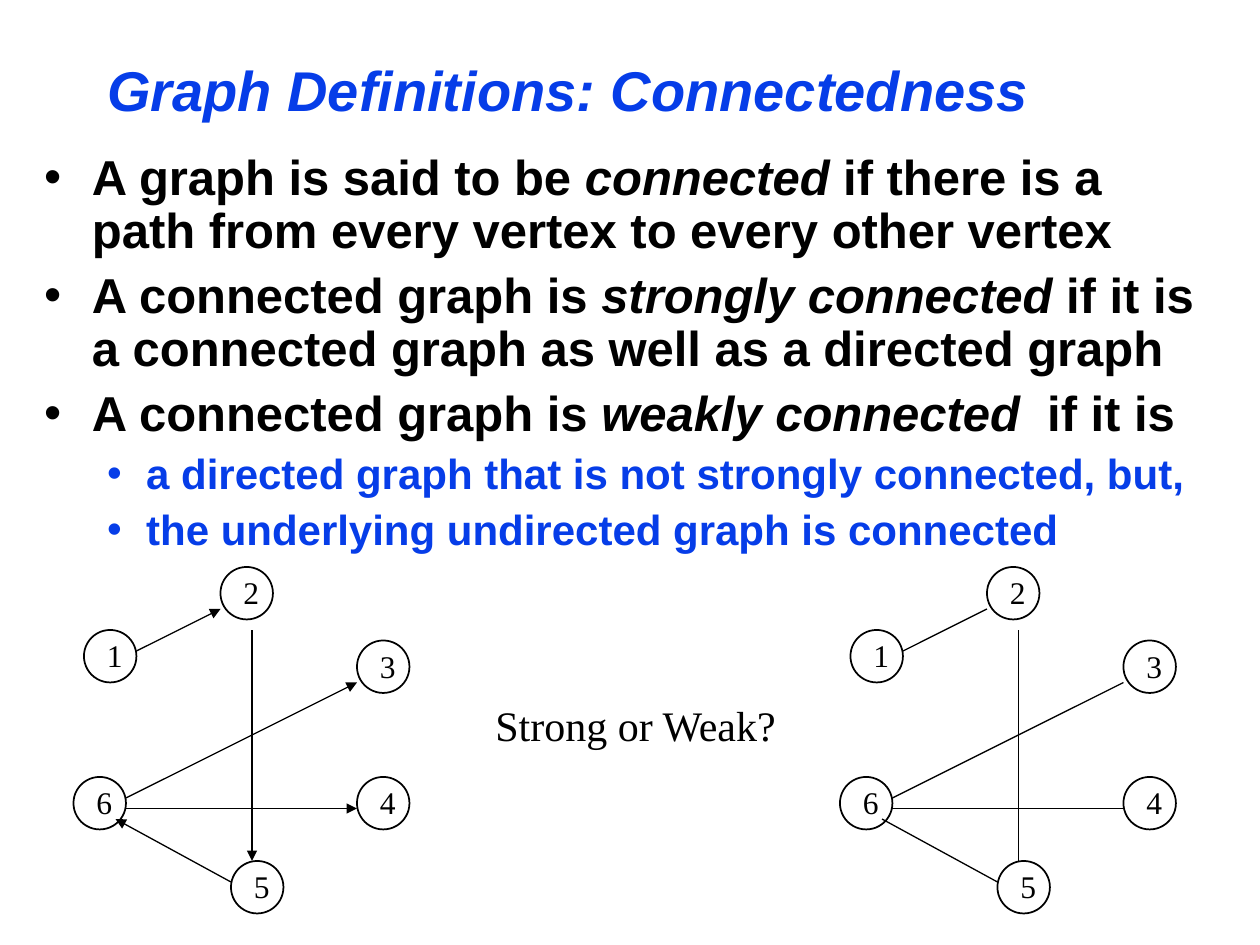
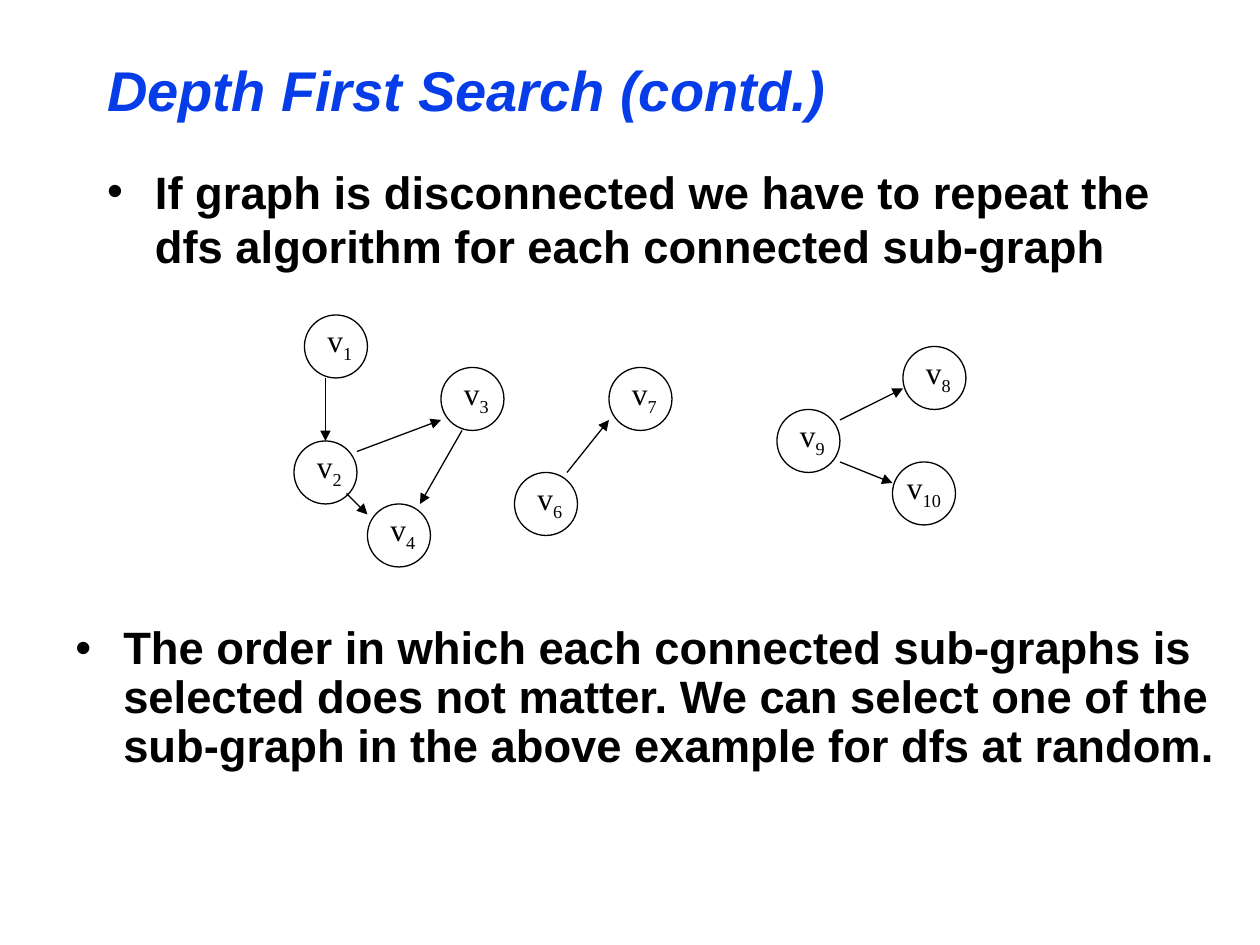
from dataclasses import dataclass
from typing import NamedTuple

from lxml import etree
from pptx import Presentation
from pptx.dml.color import RGBColor
from pptx.enum.shapes import MSO_CONNECTOR, MSO_SHAPE
from pptx.enum.text import MSO_ANCHOR, MSO_AUTO_SIZE, PP_ALIGN
from pptx.oxml.ns import qn
from pptx.util import Inches, Pt

OVAL = MSO_SHAPE.OVAL
STRAIGHT = MSO_CONNECTOR.STRAIGHT
LEFT = PP_ALIGN.LEFT
TOP, MIDDLE = MSO_ANCHOR.TOP, MSO_ANCHOR.MIDDLE
NO_FIT = MSO_AUTO_SIZE.NONE

WIDTH, HEIGHT = Inches(10), Inches(7.5)
COLUMNS, ROWS = 120, 90
CELL_WIDTH, CELL_HEIGHT = WIDTH / COLUMNS, HEIGHT / ROWS
COLORS = {"accent": "063DE8", "ink": "000000"}
SANS, SERIF = "Arial", "Times New Roman"


class Area(NamedTuple):
    """A rectangle in grid columns and rows."""
    column: float
    row: float
    columns: float
    rows: float


class Node(NamedTuple):
    column: float
    row: float
    label: str
    subscript: str = ""


class Edge(NamedTuple):
    start: tuple[float, float]
    end: tuple[float, float]


class Bullet(NamedTuple):
    text: str
    level: int = 0
    size: float = 28
    color: str = "ink"
    line_spacing: float = 0.9


@dataclass(frozen=True)
class Graph:
    nodes: list[Node]
    edges: list[Edge]
    diameter: float
    outline: float
    shift: float = 0
    directed: bool = True


TITLE_AREA = Area(9, 4, 102, 9)
INDENTS = [(0.38, -0.38), (0.81, -0.31)]
SPACE_BEFORE = [7, 6]

NUMBER_NODES = [
    Node(8, 60, "1"), Node(21, 54, "2"), Node(22, 82, "5"),
    Node(7, 74, "6"), Node(34, 74, "4"), Node(34, 61, "3"),
]
NUMBER_EDGES = [
    Edge((13, 62), (21, 58)), Edge((24, 60), (24, 82)),
    Edge((12, 76), (34, 65)), Edge((12, 77), (34, 77)),
    Edge((22, 84), (11, 78)),
]
NUMBER_GRAPHS = [
    Graph(NUMBER_NODES, NUMBER_EDGES, 5, 1),
    Graph(NUMBER_NODES, NUMBER_EDGES, 5, 1, shift=73, directed=False),
]
SUB_GRAPHS = [
    Graph(
        [Node(29, 30, "v", "1"), Node(42, 35, "v", "3"),
         Node(28, 42, "v", "2"), Node(35, 48, "v", "4")],
        [Edge((31, 36), (31, 42)), Edge((34, 43), (42, 40)),
         Edge((44, 41), (40, 48)), Edge((33, 47), (35, 49))],
        6, 0.75),
    Graph(
        [Node(49, 45, "v", "6"), Node(58, 35, "v", "7")],
        [Edge((54, 45), (58, 40))],
        6, 0.75),
    Graph(
        [Node(86, 33, "v", "8"), Node(74, 39, "v", "9"), Node(85, 44, "v", "10")],
        [Edge((80, 40), (86, 37)), Edge((80, 44), (85, 46))],
        6, 0.75),
]

CONNECTEDNESS = [
    Bullet("A graph is said to be *connected* if there is a path "
           "from every vertex to every other vertex"),
    Bullet("A connected graph is *strongly connected* if it is "
           "a connected graph as well as a directed graph"),
    Bullet("A connected graph is *weakly connected*  if it is"),
    Bullet("a directed graph that is not strongly connected, but,", 1, 24, "accent"),
    Bullet("the underlying undirected graph is connected", 1, 24, "accent"),
]
REPEAT_SEARCH = [
    Bullet("If graph is disconnected we have to repeat the dfs algorithm "
           "for each connected sub-graph", size=25.9, line_spacing=1),
]
SEARCH_ORDER = [
    Bullet("The order in which each connected sub-graphs is selected does not "
           "matter. We can select one of the sub-graph in the above example "
           "for dfs at random.", size=25.9),
]


def rgb(name: str) -> RGBColor:
    return RGBColor.from_string(COLORS[name])


def grid_point(column: float, row: float) -> tuple[int, int]:
    return round(column * CELL_WIDTH), round(row * CELL_HEIGHT)


def grid_box(area: Area) -> tuple[int, int, int, int]:
    return grid_point(area.column, area.row) + grid_point(area.columns, area.rows)


def add_span(para, text: str, *, size: float, font: str = SERIF, color: str = "ink",
             bold: bool = False, italic: bool = False, subscript: bool = False) -> None:
    span = para.add_run()
    span.text = text
    span.font.name = font
    span.font.size = Pt(size)
    span.font.bold = bold
    span.font.italic = italic
    span.font.color.rgb = rgb(color)
    if subscript:
        span._r.get_or_add_rPr().set("baseline", "-25000")


def place(box, area: Area, anchor=TOP, wrap: bool = True):
    """Set a text shape's position and frame; return its text frame."""
    box.left, box.top, box.width, box.height = grid_box(area)
    frame = box.text_frame
    frame.auto_size = NO_FIT
    frame.word_wrap = wrap
    frame.vertical_anchor = anchor
    return frame


def add_label(shapes, area: Area, text: str, subscript: str = "", size: float = 18) -> None:
    frame = place(shapes.add_textbox(*grid_box(area)), area, wrap=False)
    para = frame.paragraphs[0]
    para.alignment = LEFT
    add_span(para, text, size=size)
    if subscript:
        add_span(para, subscript, size=size, subscript=True)


def fill_bullets(box, area: Area, bullets: list[Bullet]) -> None:
    """Write bullets into a box; text between asterisks becomes italic."""
    frame = place(box, area)
    for index, bullet in enumerate(bullets):
        para = frame.add_paragraph() if index else frame.paragraphs[0]
        para.level = bullet.level
        para.alignment = LEFT
        para.line_spacing = bullet.line_spacing
        para.space_before = Pt(SPACE_BEFORE[bullet.level])
        margin, indent = INDENTS[bullet.level]
        properties = para._p.get_or_add_pPr()
        properties.set("marL", str(Inches(margin)))
        properties.set("indent", str(Inches(indent)))
        etree.SubElement(properties, qn("a:buFont")).set("typeface", SANS)
        etree.SubElement(properties, qn("a:buChar")).set("char", "•")
        for part, text in enumerate(bullet.text.split("*")):
            add_span(para, text, size=bullet.size, font=SANS, color=bullet.color,
                     bold=True, italic=part % 2 == 1)


def draw_node(shapes, node: Node, graph: Graph) -> None:
    column = node.column + graph.shift
    circle = shapes.add_shape(
        OVAL, *grid_box(Area(column, node.row, graph.diameter, graph.diameter)))
    circle.shadow.inherit = False
    circle.fill.background()
    circle.line.color.rgb = rgb("ink")
    circle.line.width = Pt(graph.outline)
    long_label = len(node.subscript) > 1
    inset = 0.2 if long_label else 1
    label_area = Area(column + inset, node.row, graph.diameter - inset, 5)
    add_label(shapes, label_area, node.label, node.subscript)


def draw_edge(shapes, edge: Edge, graph: Graph) -> None:
    ends = [grid_point(column + graph.shift, row) for column, row in edge]
    connector = shapes.add_connector(STRAIGHT, *ends[0], *ends[1])
    connector.line.color.rgb = rgb("ink")
    connector.line.width = Pt(0.75)
    properties = connector.element.spPr
    if graph.directed:
        outline = properties.find(qn("a:ln"))
        etree.SubElement(outline, qn("a:tailEnd")).set("type", "triangle")
    etree.SubElement(properties, qn("a:effectLst"))


def draw_graph(page, graph: Graph) -> None:
    shapes = page.shapes.add_group_shape().shapes
    for node in graph.nodes:
        draw_node(shapes, node, graph)
    for edge in graph.edges:
        draw_edge(shapes, edge, graph)


def add_page(deck, title: str, body_area: Area, bullets: list[Bullet], graphs: list[Graph]):
    page = deck.slides.add_slide(deck.slide_layouts[1])
    para = place(page.shapes.title, TITLE_AREA, MIDDLE).paragraphs[0]
    para.alignment = LEFT
    add_span(para, title, size=32, font=SANS, color="accent", bold=True, italic=True)
    fill_bullets(page.placeholders[1], body_area, bullets)
    for graph in graphs:
        draw_graph(page, graph)
    return page


def main() -> None:
    deck = Presentation()
    deck.slide_width, deck.slide_height = WIDTH, HEIGHT

    page = add_page(deck, "Graph Definitions: Connectedness",
                    Area(3, 14, 113, 40), CONNECTEDNESS, NUMBER_GRAPHS)
    add_label(page.shapes, Area(46, 66, 29.5, 6), "Strong or Weak?", size=24)

    page = add_page(deck, "Depth First Search (contd.)",
                    Area(9, 15, 103, 17), REPEAT_SEARCH, SUB_GRAPHS)
    order_area = Area(6, 59, 111, 23)
    fill_bullets(page.shapes.add_textbox(*grid_box(order_area)), order_area, SEARCH_ORDER)

    deck.save("out.pptx")


if __name__ == "__main__":
    main()
